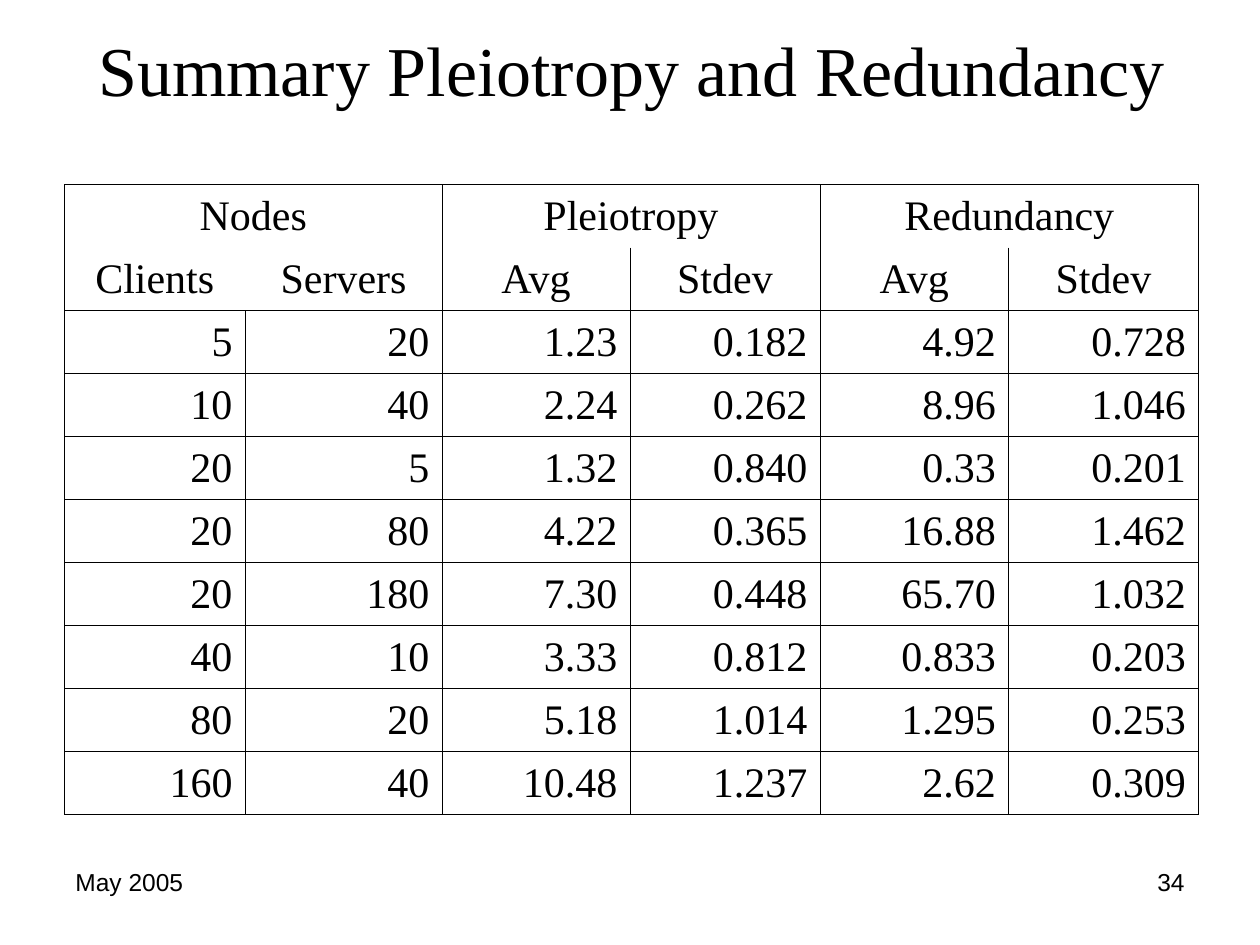
from lxml.etree import SubElement
from pptx import Presentation
from pptx.dml.color import RGBColor
from pptx.enum.text import MSO_ANCHOR as Anchor, MSO_AUTO_SIZE as AutoSize, PP_ALIGN as Align
from pptx.oxml.ns import qn
from pptx.util import Cm, Pt

SERIF, SANS = "Times New Roman", "Arial"
BLACK, WHITE = "000000", "FFFFFF"
NO_STYLE = "{2D5ABB26-0587-4C30-8999-92F81FD0307C}"

TITLE = "Summary Pleiotropy and Redundancy"
GROUPS = ["Nodes", "Pleiotropy", "Redundancy"]
HEADINGS = ["Clients", "Servers", "Avg", "Stdev", "Avg", "Stdev"]
DATA = [
    ["5", "20", "1.23", "0.182", "4.92", "0.728"],
    ["10", "40", "2.24", "0.262", "8.96", "1.046"],
    ["20", "5", "1.32", "0.840", "0.33", "0.201"],
    ["20", "80", "4.22", "0.365", "16.88", "1.462"],
    ["20", "180", "7.30", "0.448", "65.70", "1.032"],
    ["40", "10", "3.33", "0.812", "0.833", "0.203"],
    ["80", "20", "5.18", "1.014", "1.295", "0.253"],
    ["160", "40", "10.48", "1.237", "2.62", "0.309"],
]
COL_WIDTHS = [3.64, 3.97, 3.79, 3.83, 3.8, 3.83]
ROW_HEIGHT = 1.27


def color(hex_code):
    return RGBColor.from_string(hex_code)


def write(tf, text, font, size, align):
    tf.text = text
    p = tf.paragraphs[0]
    p.alignment = align
    for r in p.runs:
        r.font.name, r.font.size = font, Pt(size)
        r.font.color.rgb = color(BLACK)


def fill_white(fill, props, opacity):
    """Fill with white and set its opacity in percent on the properties element."""
    fill.solid()
    fill.fore_color.rgb = color(WHITE)
    rgb = props.find(qn("a:solidFill")).find(qn("a:srgbClr"))
    SubElement(rgb, qn("a:alpha"), val=str(opacity * 1000))


def add_borders(cell, sides):
    """Draw thin black lines on the sides named by letters out of LRTB."""
    tc_pr = cell._tc.get_or_add_tcPr()
    for side in sides:
        ln = SubElement(tc_pr, qn(f"a:ln{side}"), w=str(Pt(0.45)))
        SubElement(SubElement(ln, qn("a:solidFill")), qn("a:srgbClr"), val=BLACK)


def border_sides(row, col):
    """Header rows are open inside each pair of columns; data cells are boxed."""
    if row > 1:
        return "LRTB"
    outer = "L" if col % 2 == 0 else "R"
    if row == 1:
        return outer + "B"
    return "LRT" if outer == "L" else "RT"


def add_title(s):
    sp = s.shapes.title
    sp.left, sp.top, sp.width, sp.height = Cm(1.3), Cm(0.53), Cm(22.86), Cm(3.18)
    fill_white(sp.fill, sp._element.spPr, 60)
    tf = sp.text_frame
    tf.auto_size = AutoSize.NONE
    tf.vertical_anchor = Anchor.TOP
    tf.margin_top = 0
    write(tf, TITLE, SERIF, 40, Align.CENTER)


def add_results_table(s):
    group_row = [text for group in GROUPS for text in (group, "")]
    rows = [group_row, HEADINGS] + DATA
    frame = s.shapes.add_table(len(rows), len(COL_WIDTHS), Cm(1.3), Cm(3.72),
                               Cm(sum(COL_WIDTHS)), Cm(ROW_HEIGHT * len(rows)))
    table = frame.table
    table.first_row = table.horz_banding = False
    table._tbl.tblPr.find(qn("a:tableStyleId")).text = NO_STYLE
    for column, width in zip(table.columns, COL_WIDTHS):
        column.width = Cm(width)
    for i, values in enumerate(rows):
        for j, text in enumerate(values):
            cell = table.cell(i, j)
            cell.vertical_anchor = Anchor.MIDDLE
            write(cell.text_frame, text, SERIF, 24, Align.CENTER if i < 2 else Align.RIGHT)
            add_borders(cell, border_sides(i, j))
            fill_white(cell.fill, cell._tc.tcPr, 50)
    for j in range(0, len(COL_WIDTHS), 2):
        table.cell(0, j).merge(table.cell(0, j + 1))


def add_footer(s, text, left, align):
    tf = s.shapes.add_textbox(Cm(left), Cm(17.35), Cm(5.92), Cm(1.32)).text_frame
    tf.word_wrap = True
    write(tf, text, SANS, 14, align)


def main():
    prs = Presentation()
    prs.slide_width, prs.slide_height = Cm(25.4), Cm(19.05)
    s = prs.slides.add_slide(prs.slide_layouts[5])
    add_title(s)
    add_results_table(s)
    add_footer(s, "34", 18.21, Align.RIGHT)
    add_footer(s, "May 2005", 1.27, Align.LEFT)
    prs.save("out.pptx")


if __name__ == "__main__":
    main()
